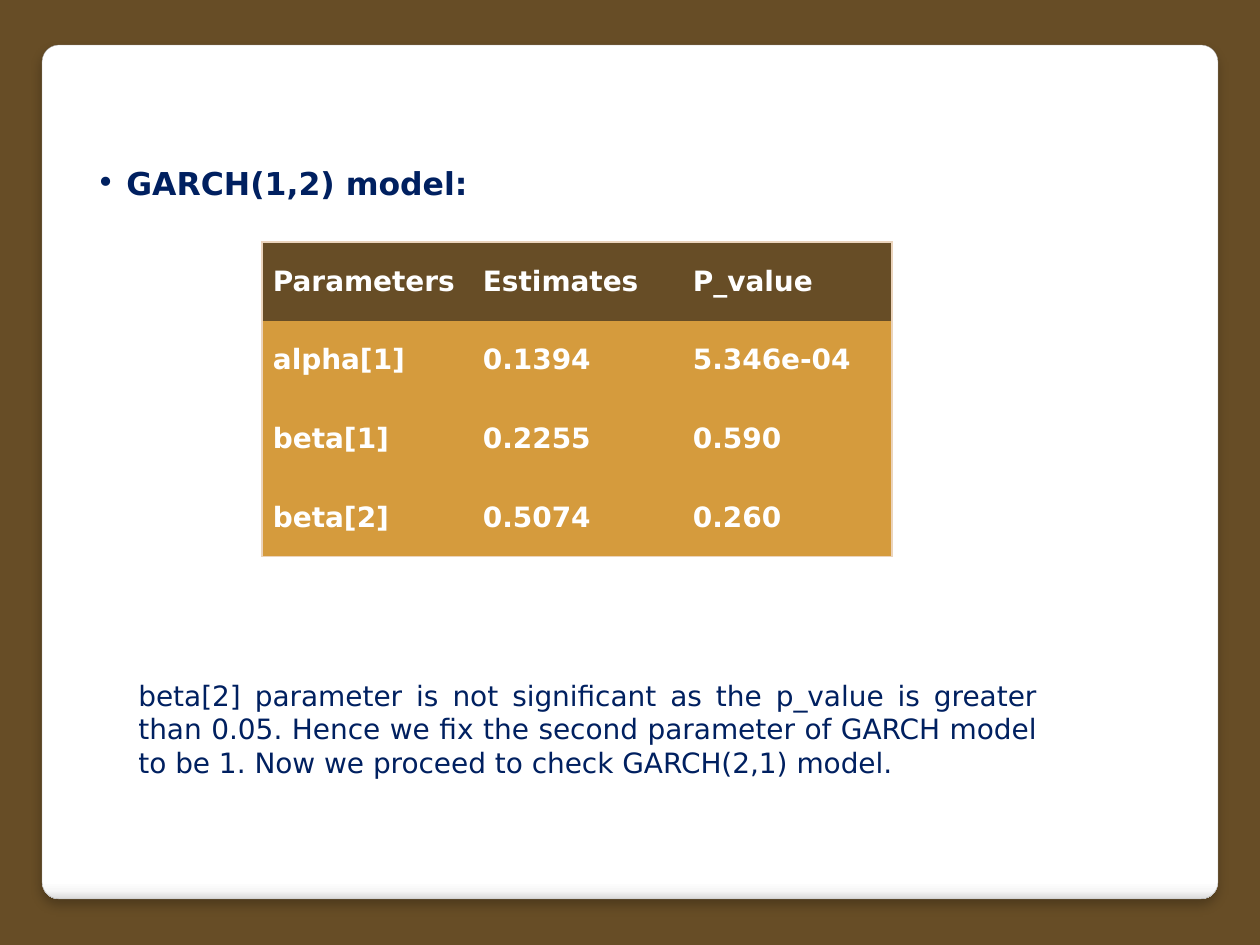
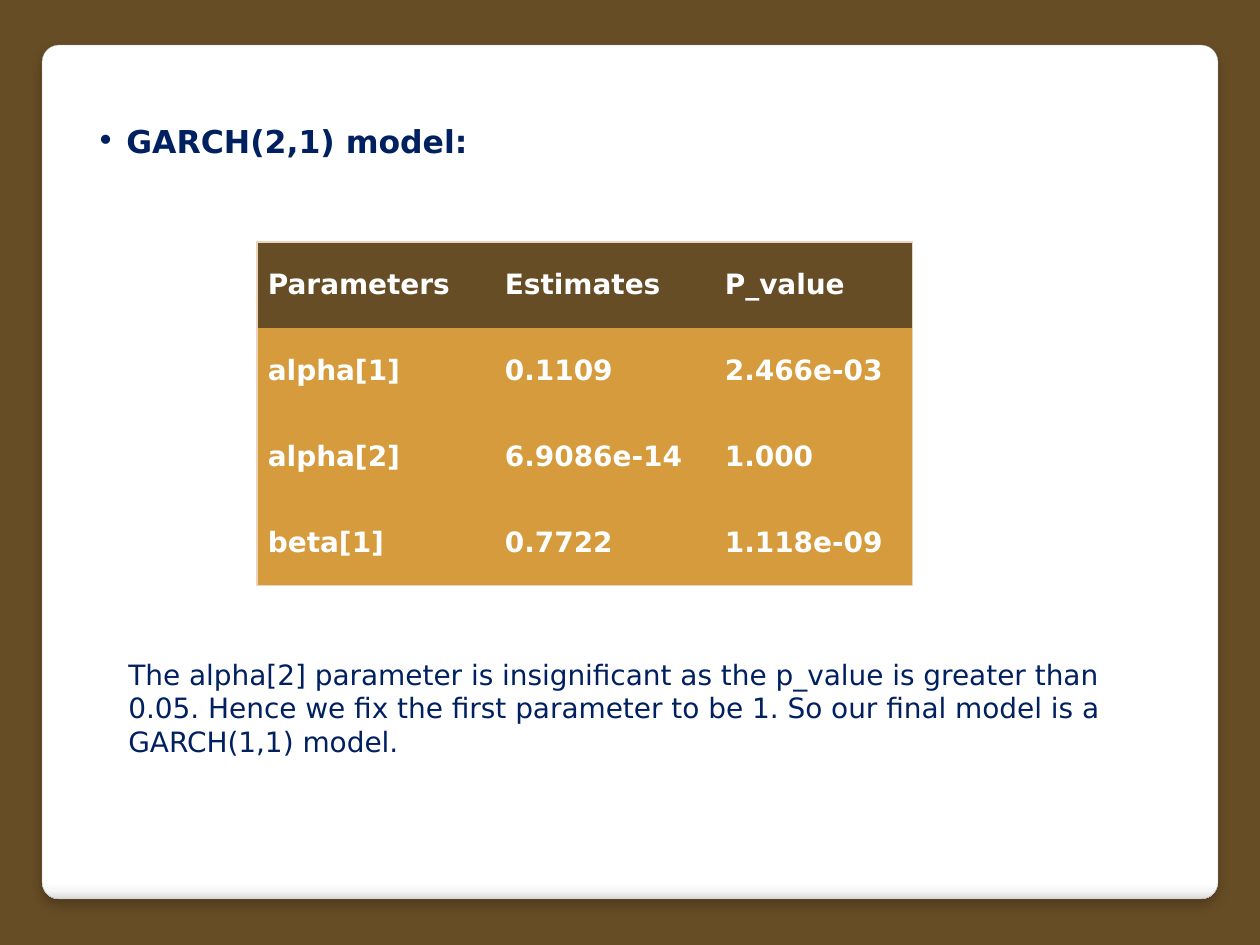
from dataclasses import dataclass

from lxml.etree import SubElement
from pptx import Presentation
from pptx.dml.color import RGBColor
from pptx.enum.shapes import MSO_SHAPE
from pptx.enum.text import MSO_ANCHOR, PP_ALIGN
from pptx.oxml.ns import qn
from pptx.util import Emu, Pt

EMU_PER_PX = 914400 / 126
PLAIN_TABLE_STYLE = "{2D5ABB26-0587-4C30-8999-92F81FD0307C}"


@dataclass(frozen=True)
class Theme:
    font: str = "DejaVu Sans"
    brown: str = "674D26"
    amber: str = "D59B3D"
    navy: str = "002060"
    white: str = "FFFFFF"
    table_edge: str = "EBD4BC"
    panel_edge: str = "A4A4A4"
    shadow: str = "000000"
    panel_stops: tuple = ((0, "FFFFFF"), (98, "FFFFFF"), (99, "F7F7F7"), (100, "DADADA"))
    heading_size: int = 18
    body_size: int = 16


THEME = Theme()
HEADER = ("Parameters", "Estimates", "P_value")


def px(length):
    return Emu(round(length * EMU_PER_PX))


def rgb(color):
    return RGBColor.from_string(color)


def add_xml(parent, tag, **attributes):
    return SubElement(parent, qn(tag), {key: str(value) for key, value in attributes.items()})


def style_runs(paragraph, size, color, bold=False):
    for run in paragraph.runs:
        run.font.name = THEME.font
        run.font.size = Pt(size)
        run.font.bold = bold
        run.font.color.rgb = rgb(color)


def add_panel(slide):
    panel = slide.shapes.add_shape(
        MSO_SHAPE.ROUNDED_RECTANGLE, px(42), px(45), px(1176), px(854))
    panel.adjustments[0] = 0.02
    panel.line.color.rgb = rgb(THEME.panel_edge)
    panel.line.width = Pt(0.16)

    panel.fill.gradient()
    panel.fill.gradient_angle = 270
    stops = panel.element.spPr.find(".//" + qn("a:gsLst"))
    for stop in list(stops):
        stops.remove(stop)
    for percent, color in THEME.panel_stops:
        stop = add_xml(stops, "a:gs", pos=percent * 1000)
        add_xml(stop, "a:srgbClr", val=color)

    panel.shadow.inherit = False
    effects = panel.element.spPr.find(qn("a:effectLst"))
    shadow = add_xml(effects, "a:outerShdw", blurRad=Pt(6), dist=Pt(4), dir=5400000, rotWithShape=0)
    tint = add_xml(shadow, "a:srgbClr", val=THEME.shadow)
    add_xml(tint, "a:alpha", val=25000)


def add_text(slide, box, text, size, bold=False, align=PP_ALIGN.LEFT):
    frame = slide.shapes.add_textbox(*map(px, box)).text_frame
    frame.word_wrap = True
    frame.text = text
    paragraph = frame.paragraphs[0]
    paragraph.alignment = align
    style_runs(paragraph, size, THEME.navy, bold)
    return paragraph


def add_heading(slide, box, text):
    paragraph = add_text(slide, box, text, THEME.heading_size, bold=True)
    properties = paragraph._p.get_or_add_pPr()
    properties.set("marL", str(px(30)))
    properties.set("indent", str(px(-30)))
    add_xml(properties, "a:buFont", typeface=THEME.font)
    add_xml(properties, "a:buChar", char="•")


def set_borders(cell, edges):
    properties = cell._tc.get_or_add_tcPr()
    for position, edge in enumerate(edges):
        line = add_xml(properties, f"a:ln{edge}", w=Pt(0.75))
        fill = add_xml(line, "a:solidFill")
        add_xml(fill, "a:srgbClr", val=THEME.table_edge)
        properties.insert(position, line)


def add_estimates(slide, left, top, column_widths, height, rows):
    records = (HEADER, *rows)
    last_row, last_column = len(records) - 1, len(HEADER) - 1
    table = slide.shapes.add_table(
        len(records), len(HEADER), px(left), px(top), px(sum(column_widths)), px(height)).table
    table.horz_banding = False
    table._tbl.tblPr.find(qn("a:tableStyleId")).text = PLAIN_TABLE_STYLE
    for column, width in zip(table.columns, column_widths):
        column.width = px(width)

    for r, record in enumerate(records):
        for c, value in enumerate(record):
            cell = table.cell(r, c)
            cell.text_frame.text = value
            cell.vertical_anchor = MSO_ANCHOR.MIDDLE
            cell.margin_left = cell.margin_right = px(11)
            cell.margin_top = cell.margin_bottom = px(5)
            cell.fill.solid()
            cell.fill.fore_color.rgb = rgb(THEME.brown if r == 0 else THEME.amber)
            style_runs(cell.text_frame.paragraphs[0], THEME.body_size, THEME.white, bold=True)
            outer = {"L": c == 0, "R": c == last_column, "T": r == 0, "B": r == last_row}
            set_borders(cell, [edge for edge, shown in outer.items() if shown])


def add_model_slide(deck):
    slide = deck.slides.add_slide(deck.slide_layouts[6])
    slide.background.fill.solid()
    slide.background.fill.fore_color.rgb = rgb(THEME.brown)
    add_panel(slide)
    return slide


def main():
    deck = Presentation()
    deck.slide_width, deck.slide_height = px(1260), px(945)

    garch_12 = add_model_slide(deck)
    add_heading(garch_12, (84, 158, 483, 50), "GARCH(1,2) model:")
    add_estimates(garch_12, 262, 242, (210, 210, 210), 315, (
        ("alpha[1]", "0.1394", "5.346e-04"),
        ("beta[1]", "0.2255", "0.590"),
        ("beta[2]", "0.5074", "0.260"),
    ))
    add_text(
        garch_12, (126, 672, 924, 115),
        "beta[2] parameter is not significant as the p_value is greater than 0.05. "
        "Hence we fix the second parameter of GARCH model to be 1. "
        "Now we proceed to check GARCH(2,1) model.",
        THEME.body_size, align=PP_ALIGN.JUSTIFY)

    garch_21 = add_model_slide(deck)
    add_heading(garch_21, (84, 116, 609, 50), "GARCH(2,1) model:")
    add_estimates(garch_21, 257, 242, (237, 220, 199), 344, (
        ("alpha[1]", "0.1109", "2.466e-03"),
        ("alpha[2]", "6.9086e-14", "1.000"),
        ("beta[1]", "0.7722", "1.118e-09"),
    ))
    add_text(
        garch_21, (116, 651, 1050, 115),
        "The alpha[2] parameter is insignificant as the p_value is greater than 0.05. "
        "Hence we fix the first parameter to be 1. "
        "So our final model is a GARCH(1,1) model.",
        THEME.body_size)

    deck.save("out.pptx")


if __name__ == "__main__":
    main()
